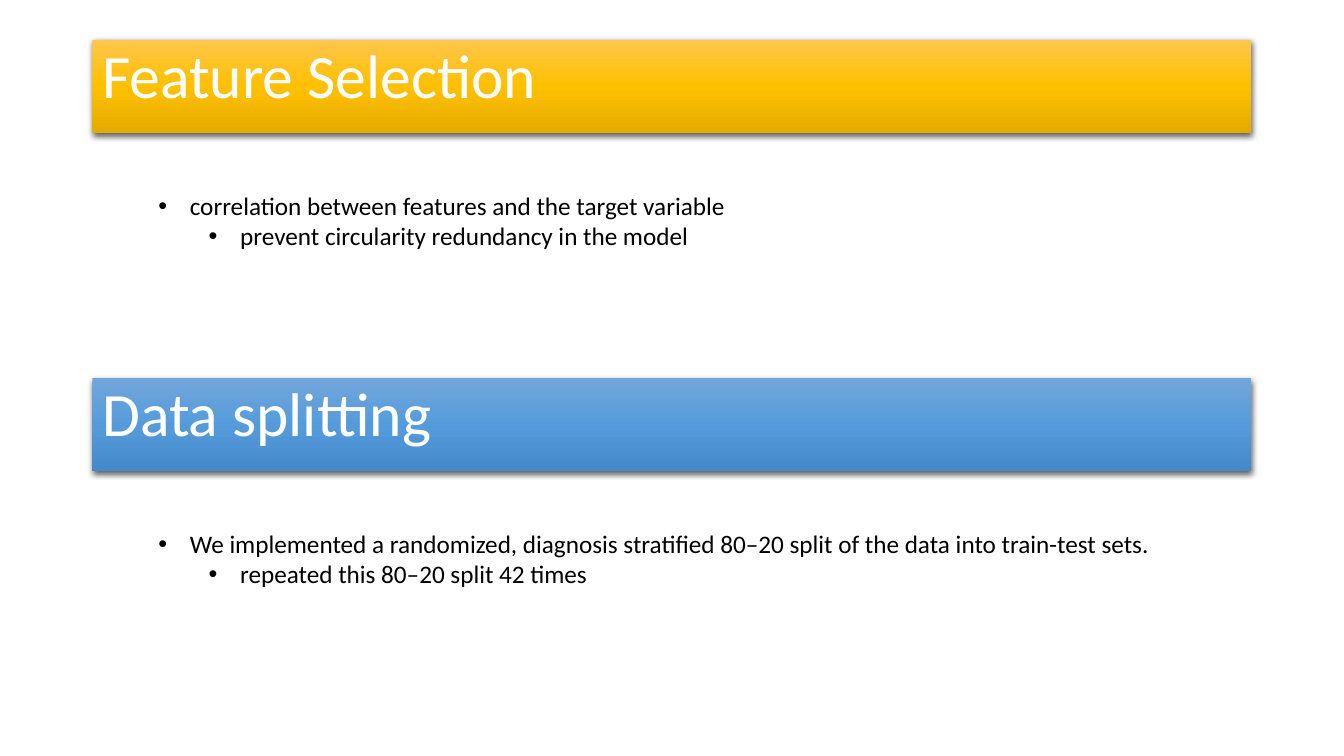
from dataclasses import dataclass

import pptx
import pptx.dml.color
import pptx.enum.shapes
import pptx.enum.text
import pptx.oxml
import pptx.oxml.ns
import pptx.shapes.autoshape
import pptx.slide
import pptx.util

Pt = pptx.util.Pt
RGBColor = pptx.dml.color.RGBColor

FONT = "Calibri"
WHITE = RGBColor(0xFF, 0xFF, 0xFF)
BLACK = RGBColor(0x00, 0x00, 0x00)
GOLD_SHADES = (RGBColor(0xFF, 0xC6, 0x4B), RGBColor(0xFF, 0xC0, 0x00), RGBColor(0xE3, 0xAB, 0x00))
BLUE_SHADES = (RGBColor(0x71, 0xA6, 0xDB), RGBColor(0x55, 0x9B, 0xDB), RGBColor(0x44, 0x8A, 0xCA))

BAR_LEFT, BAR_WIDTH, BAR_HEIGHT = 66, 828, 66.6
BULLETS_LEFT, BULLETS_WIDTH, BULLETS_HEIGHT = 106, 788, 50.9
BULLETS_OFFSET = 103.8  # from the top of the bar to the top of its bullets
BULLET_HANG, LEVEL_STEP = 22.5, 36


@dataclass
class Section:
    title: str
    top: float
    shades: tuple[RGBColor, RGBColor, RGBColor]
    bullets: tuple[str, ...]


SECTIONS = (
    Section(
        "Feature Selection", 28.6, GOLD_SHADES,
        ("correlation between features and the target variable",
         "prevent circularity redundancy in the model"),
    ),
    Section(
        "Data splitting", 270.2, BLUE_SHADES,
        ("We implemented a randomized, diagnosis stratified 80–20 split "
         "of the data into train-test sets.",
         "repeated this 80–20 split 42 times"),
    ),
)


def style_bar(shape: pptx.shapes.autoshape.Shape, shades: tuple[RGBColor, ...]) -> None:
    """Give the bar a vertical three-stop gradient and a soft shadow below."""
    shape.line.fill.background()
    shape.shadow.inherit = False
    shape.fill.gradient()
    properties = shape.fill._xPr
    namespace = pptx.oxml.ns.nsdecls("a")
    stops = "".join(
        f'<a:gs pos="{index * 50000}"><a:srgbClr val="{shade}"/></a:gs>'
        for index, shade in enumerate(shades)
    )
    gradient = pptx.oxml.parse_xml(
        f'<a:gradFill {namespace} rotWithShape="1"><a:gsLst>{stops}</a:gsLst>'
        '<a:lin ang="5400000" scaled="0"/></a:gradFill>'
    )
    properties.replace(properties.find(pptx.oxml.ns.qn("a:gradFill")), gradient)
    shadow = pptx.oxml.parse_xml(
        f'<a:outerShdw {namespace} blurRad="{Pt(4.5)}" dist="{Pt(1.5)}" dir="5400000" '
        'algn="ctr" rotWithShape="0"><a:srgbClr val="000000"><a:alpha val="63000"/>'
        "</a:srgbClr></a:outerShdw>"
    )
    properties.find(pptx.oxml.ns.qn("a:effectLst")).append(shadow)


def add_bar(slide: pptx.slide.Slide, section: Section) -> None:
    shape = slide.shapes.add_shape(
        pptx.enum.shapes.MSO_SHAPE.RECTANGLE,
        Pt(BAR_LEFT), Pt(section.top), Pt(BAR_WIDTH), Pt(BAR_HEIGHT),
    )
    style_bar(shape, section.shades)
    shape.text_frame.vertical_anchor = pptx.enum.text.MSO_ANCHOR.TOP
    paragraph = shape.text_frame.paragraphs[0]
    paragraph.text = section.title
    paragraph.alignment = pptx.enum.text.PP_ALIGN.LEFT
    paragraph.line_spacing = 0.9
    paragraph.font.name = FONT
    paragraph.font.size = Pt(44)
    paragraph.font.color.rgb = WHITE


def add_bullets(slide: pptx.slide.Slide, section: Section) -> None:
    """Write the bullets, each one level deeper than the one before."""
    text_frame = slide.shapes.add_textbox(
        Pt(BULLETS_LEFT), Pt(section.top + BULLETS_OFFSET), Pt(BULLETS_WIDTH), Pt(BULLETS_HEIGHT)
    ).text_frame
    text_frame.word_wrap = True
    text_frame.auto_size = pptx.enum.text.MSO_AUTO_SIZE.SHAPE_TO_FIT_TEXT
    for level, text in enumerate(section.bullets):
        paragraph = text_frame.add_paragraph() if level else text_frame.paragraphs[0]
        paragraph.text = text
        paragraph.level = level
        paragraph.font.name = FONT
        paragraph.font.size = Pt(18)
        paragraph.font.color.rgb = BLACK
        # Hanging bullet, placed before the default run properties
        properties = paragraph._p.get_or_add_pPr()
        properties.set("marL", str(Pt(BULLET_HANG + level * LEVEL_STEP)))
        properties.set("indent", str(Pt(-BULLET_HANG)))
        namespace = pptx.oxml.ns.nsdecls("a")
        properties.insert(0, pptx.oxml.parse_xml(f'<a:buFont {namespace} typeface="Arial"/>'))
        properties.insert(1, pptx.oxml.parse_xml(f'<a:buChar {namespace} char="•"/>'))


def main() -> None:
    presentation = pptx.Presentation()
    presentation.slide_width = Pt(960)
    presentation.slide_height = Pt(540)
    slide = presentation.slides.add_slide(presentation.slide_layouts[6])
    for section in SECTIONS:
        add_bar(slide, section)
        add_bullets(slide, section)
    presentation.save("out.pptx")


if __name__ == "__main__":
    main()
